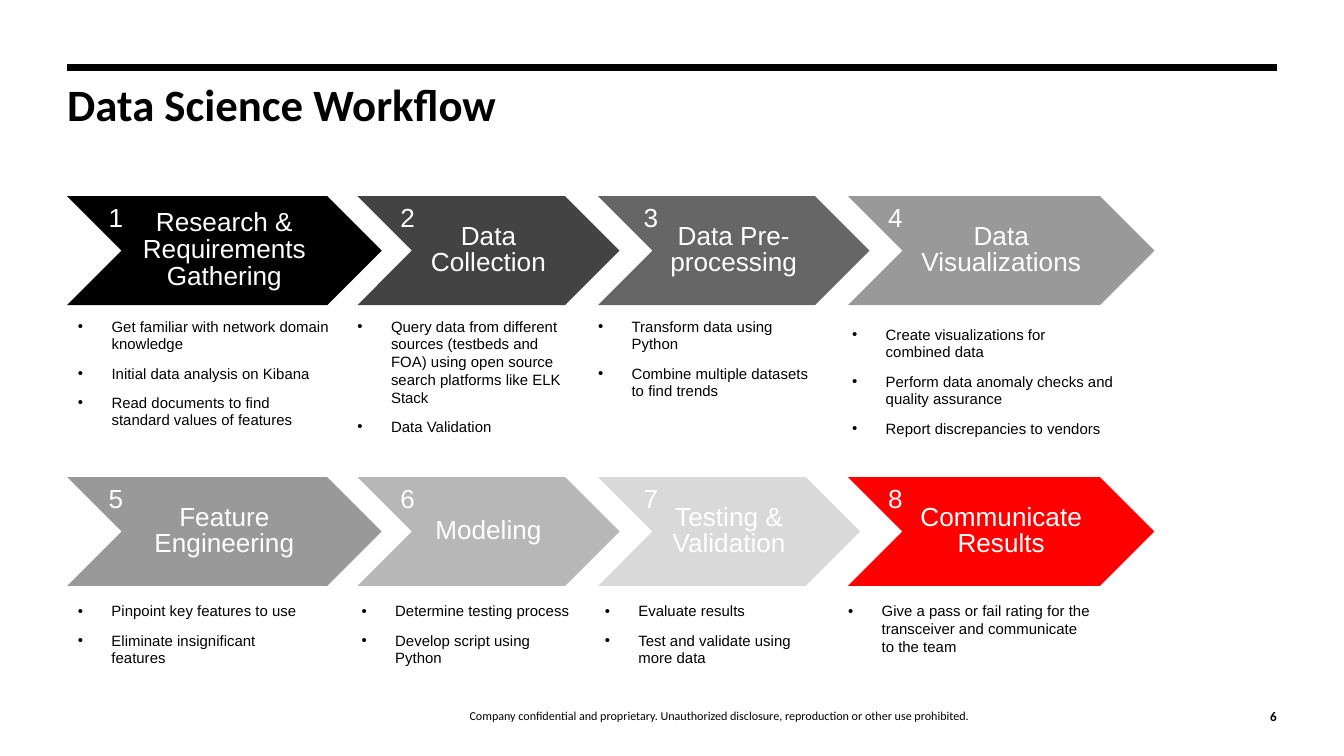
from dataclasses import dataclass

from lxml import etree
from pptx import Presentation
from pptx.dml.color import RGBColor
from pptx.enum.shapes import MSO_CONNECTOR, MSO_SHAPE
from pptx.enum.text import MSO_ANCHOR, MSO_AUTO_SIZE, PP_ALIGN
from pptx.oxml.ns import qn
from pptx.util import Inches, Pt

CHEVRON = MSO_SHAPE.CHEVRON
STRAIGHT = MSO_CONNECTOR.STRAIGHT
TOP, MIDDLE, BOTTOM = MSO_ANCHOR.TOP, MSO_ANCHOR.MIDDLE, MSO_ANCHOR.BOTTOM
LEFT, CENTER, RIGHT = PP_ALIGN.LEFT, PP_ALIGN.CENTER, PP_ALIGN.RIGHT
NO_FIT = MSO_AUTO_SIZE.NONE

SLIDE_WIDTH = 10
SLIDE_HEIGHT = SLIDE_WIDTH * 9 / 16
MARGIN = 0.5
COLUMN_LEFTS = (MARGIN, 2.66, 4.45, 6.31)
ROW_TOPS = (1.46, 3.55)
CHEVRON_HEIGHT = 0.81
NUMBER_INSETS = (0.21, 0.22, 0.24, 0.2)
NUMBER_RISE = 0.06
LIST_DROPS = (0.9, 0.93)
LIST_HEIGHT = 0.9
LIST_INDENT = 0.25

COLORS = {
    "black": "000000",
    "charcoal": "434343",
    "dark gray": "666666",
    "gray": "999999",
    "silver": "B7B7B7",
    "pale gray": "D9D9D9",
    "red": "FF0000",
    "white": "FFFFFF",
}


@dataclass
class Step:
    """One workflow stage with its arrow width and its list's inset, drop and width."""

    heading: str
    color: str
    arrow_width: float
    list_inset: float
    list_width: float
    tasks: tuple
    extra_drop: float = 0


STEPS = (
    Step("Research & Requirements Gathering", "black", 2.34, 0.08, 1.89, (
        "Get familiar with network domain knowledge",
        "Initial data analysis on Kibana",
        "Read documents to find standard values of features",
    )),
    Step("Data Collection", "charcoal", 1.95, 0, 1.63, (
        "Query data from different sources (testbeds and FOA) using open source "
        "search platforms like ELK Stack",
        "Data Validation",
    )),
    Step("Data Pre-\nprocessing", "dark gray", 2.02, 0, 1.67, (
        "Transform data using Python",
        "Combine multiple datasets to find trends",
    )),
    Step("Data Visualizations", "gray", 2.28, 0.03, 1.95, (
        "Create visualizations for combined data",
        "Perform data anomaly checks and quality assurance",
        "Report discrepancies to vendors",
    ), 0.06),
    Step("Feature Engineering", "gray", 2.34, 0.08, 1.74, (
        "Pinpoint key features to use",
        "Eliminate insignificant features",
    )),
    Step("Modeling", "silver", 1.95, 0.03, 1.58, (
        "Determine testing process",
        "Develop script using Python",
    )),
    Step("Testing & Validation", "pale gray", 1.95, 0.05, 1.58, (
        "Evaluate results",
        "Test and validate using more data",
    )),
    Step("Communicate Results", "red", 2.28, 0, 1.82, (
        "Give a pass or fail rating for the transceiver and communicate to the team",
    )),
)


def rgb(color):
    """Look up a named colour."""
    return RGBColor.from_string(COLORS[color])


def box(left, top, width, height):
    """Turn inches into a shape's position and size."""
    return [Inches(length) for length in (left, top, width, height)]


def write(frame, text, size, color="black", font="Arial", bold=False,
          align=LEFT, anchor=TOP, spacing=None, insets=(0, 0)):
    """Fill a text frame with evenly formatted paragraphs."""
    frame.text = text
    frame.word_wrap = True
    frame.auto_size = NO_FIT
    frame.vertical_anchor = anchor
    frame.margin_left = frame.margin_right = Inches(insets[0])
    frame.margin_top = frame.margin_bottom = Inches(insets[1])
    for paragraph in frame.paragraphs:
        paragraph.alignment = align
        paragraph.line_spacing = spacing
        paragraph.font.size = Pt(size)
        paragraph.font.name = font
        paragraph.font.bold = bold
        paragraph.font.color.rgb = rgb(color)


def add_label(slide, place, text, size, **style):
    """Add a text box."""
    frame = slide.shapes.add_textbox(*box(*place)).text_frame
    write(frame, text, size, **style)
    return frame


def add_title(slide, text):
    """Place the slide title."""
    title = slide.shapes.title
    title.left, title.top, title.width, title.height = box(MARGIN, 0.65, 7.75, 0.75)
    write(title.text_frame, text, 24, font="Calibri", bold=True, spacing=0.8)


def add_rule(slide):
    """Draw the heavy line above the title."""
    start, end = Inches(MARGIN), Inches(SLIDE_WIDTH - MARGIN)
    rule = slide.shapes.add_connector(STRAIGHT, start, Inches(0.5), end, Inches(0.5))
    rule.line.color.rgb = rgb("black")
    rule.line.width = Pt(3.75)
    etree.SubElement(rule._element.spPr, qn("a:effectLst"))


def add_arrow(slide, step, left, top):
    """Draw a step's chevron with its heading."""
    place = box(left, top, step.arrow_width, CHEVRON_HEIGHT)
    arrow = slide.shapes.add_shape(CHEVRON, *place)
    arrow.adjustments[0] = 0.5
    arrow.shadow.inherit = False
    arrow.fill.solid()
    arrow.fill.fore_color.rgb = rgb(step.color)
    arrow.line.fill.background()
    write(arrow.text_frame, step.heading, 14, color="white", align=CENTER,
          anchor=MIDDLE, spacing=0.85, insets=(0.1, 0.05))


def add_bullet(paragraph):
    """Give a paragraph a hanging bullet."""
    properties = paragraph._p.get_or_add_pPr()
    properties.set("marL", str(Inches(LIST_INDENT)))
    properties.set("indent", str(-Inches(LIST_INDENT)))
    run_defaults = properties.find(qn("a:defRPr"))
    run_defaults.addprevious(etree.Element(qn("a:buFont"), typeface="Arial"))
    run_defaults.addprevious(etree.Element(qn("a:buChar"), char="•"))


def add_tasks(slide, step, left, top):
    """List a step's tasks from the given top down."""
    place = (left + step.list_inset, top + step.extra_drop,
             step.list_width, LIST_HEIGHT)
    frame = add_label(slide, place, "\n".join(step.tasks), 8)
    for position, paragraph in enumerate(frame.paragraphs):
        add_bullet(paragraph)
        if position:
            paragraph.space_before = Pt(6)


def add_step(slide, index, step):
    """Place one step on the grid of rows and columns."""
    row, column = divmod(index, len(COLUMN_LEFTS))
    left, top = COLUMN_LEFTS[column], ROW_TOPS[row]
    add_arrow(slide, step, left, top)
    add_tasks(slide, step, left, top + LIST_DROPS[row])
    number_place = (left + NUMBER_INSETS[column], top - NUMBER_RISE, 0.25, 0.33)
    add_label(slide, number_place, str(index + 1), 14, color="white", insets=(0.1, 0.1))


def main():
    """Build and save the workflow slide."""
    deck = Presentation()
    deck.slide_width, deck.slide_height = Inches(SLIDE_WIDTH), Inches(SLIDE_HEIGHT)
    slide = deck.slides.add_slide(deck.slide_layouts.get_by_name("Title Only"))
    add_rule(slide)
    add_title(slide, "Data Science Workflow")
    for index, step in enumerate(STEPS):
        add_step(slide, index, step)
    add_label(slide, (1.46, 5.05, 7.79, 0.33),
              "Company confidential and proprietary. Unauthorized disclosure, "
              "reproduction or other use prohibited.",
              6.5, font="Calibri", align=CENTER, anchor=BOTTOM, spacing=1.14)
    add_label(slide, (9.25, 5.14, 0.25, 0.25), "6", 7, font="Calibri", bold=True,
              align=RIGHT, anchor=BOTTOM)
    deck.save("out.pptx")


if __name__ == "__main__":
    main()
